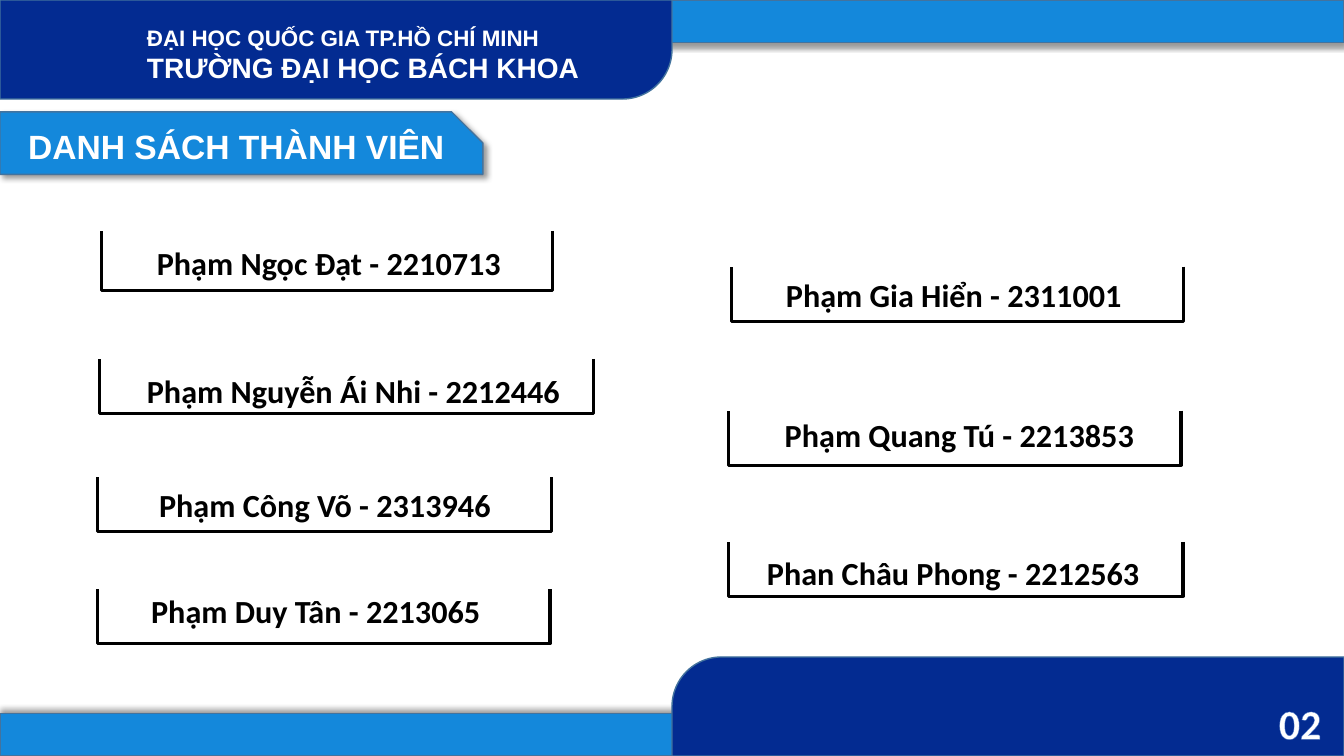
"""Build the member list slide on a grid of 100 columns by 100 rows."""
from lxml import etree
from pptx import Presentation
from pptx import util as u
from pptx.dml.color import RGBColor
from pptx.enum import shapes, text
from pptx.oxml import ns

THEME = {
    "navy": RGBColor.from_string("032B91"),
    "sky": RGBColor.from_string("1488DB"),
    "edge": RGBColor.from_string("43739E"),
    "white": RGBColor.from_string("FFFFFF"),
    "black": RGBColor.from_string("000000"),
    "number_edge": "4472C4",
    "heading": "Arial",
    "body": "Calibri",
    "university": 16,
    "school": 20,
    "title": 24,
    "member": 23,
    "number": 30,
}

deck = Presentation()
deck.slide_width = u.Inches(13.33)
deck.slide_height = u.Inches(7.5)
page = deck.slides.add_slide(deck.slide_layouts[6])
column = deck.slide_width / 100
row = deck.slide_height / 100


def add_panel(preset, frame, fill=None, turn=0, corner=None, shadow=None):
    """Draw a shape whose frame is the area it covers after turning."""
    left, top, width, height = (
        size * unit for size, unit in zip(frame, (column, row, column, row)))
    middle, centre = left + width / 2, top + height / 2
    if turn:
        width, height = height, width
    panel = page.shapes.add_shape(
        preset, int(middle - width / 2), int(centre - height / 2), int(width), int(height))
    panel.rotation = turn
    panel.shadow.inherit = False
    if corner is not None:
        panel.adjustments[0] = corner
    if fill:
        panel.fill.solid()
        panel.fill.fore_color.rgb = THEME[fill]
    else:
        panel.fill.background()
    panel.line.color.rgb = THEME["edge" if fill else "black"]
    panel.line.width = u.Pt(1 if fill else 2.25)
    if shadow is not None:
        effects = panel._element.spPr.find(ns.qn("a:effectLst"))
        outer = etree.SubElement(
            effects, ns.qn("a:outerShdw"), blurRad=str(u.Pt(4)), dist=str(u.Pt(3)),
            dir=str(shadow * 60000), algn="ctr", rotWithShape="0")
        tint = etree.SubElement(outer, ns.qn("a:srgbClr"), val="000000")
        etree.SubElement(tint, ns.qn("a:alpha"), val="40000")


def add_words(frame, lines, font, colour, centred=True):
    """Write one paragraph for each pair of wording and type size."""
    left, top, width, height = (
        int(size * unit) for size, unit in zip(frame, (column, row, column, row)))
    box = page.shapes.add_textbox(left, top, width, height)
    box.text_frame.word_wrap = centred
    box.text_frame.auto_size = text.MSO_AUTO_SIZE.SHAPE_TO_FIT_TEXT
    box.text_frame.text = "\n".join(wording for wording, size in lines)
    for para, (wording, size) in zip(box.text_frame.paragraphs, lines):
        para.alignment = text.PP_ALIGN.CENTER if centred else text.PP_ALIGN.LEFT
        para.font.name = THEME[font]
        para.font.size = u.Pt(THEME[size])
        para.font.bold = True
        para.font.color.rgb = THEME[colour]
    return box


preset = shapes.MSO_SHAPE
band, banner = 5.6, 13.1
for band_top, banner_left, banner_top, turn, shadow in (
    (0, 0, 0, 90, 90),
    (100 - band, 50, 100 - banner, 270, 270),
):
    add_panel(preset.RECTANGLE, (0, band_top, 100, band), "sky", shadow=shadow)
    add_panel(preset.ROUND_1_RECTANGLE, (banner_left, banner_top, 50, banner),
              "navy", turn=turn, corner=0.5)

add_words((10.2, 2.53, 34, 9.47),
          [("ĐẠI HỌC QUỐC GIA TP.HỒ CHÍ MINH", "university"),
           ("TRƯỜNG ĐẠI HỌC BÁCH KHOA", "school")],
          "heading", "white", centred=False)
add_panel(preset.SNIP_1_RECTANGLE, (0, 14.8, 35.93, 8.27), "sky", corner=0.5, shadow=45)
add_words((1.35, 16, 32.86, 6.67), [("DANH SÁCH THÀNH VIÊN", "title")],
          "heading", "white", centred=False)

members = [
    ("Phạm Ngọc Đạt - 2210713", (7.58, 30.53, 33.53, 7.87), (10.8, 31.47, 27.38)),
    ("Phạm Nguyễn Ái Nhi - 2212446", (7.42, 47.47, 36.75, 7.2), (9.6, 48.4, 33.45)),
    ("Phạm Công Võ - 2313946", (7.24, 63.13, 33.83, 7.2), (6.98, 63.6, 34.43)),
    ("Phạm Duy Tân - 2213065", (7.24, 77.93, 33.68, 7.2), (9.83, 77.6, 27.38)),
    ("Phạm Gia Hiển - 2311001", (54.41, 35.27, 33.68, 7.2), (57.3, 35.73, 27.38)),
    ("Phạm Quang Tú - 2213853", (54.19, 54.33, 33.68, 7.2), (57.08, 54.27, 28.65)),
    ("Phan Châu Phong - 2212563", (54.19, 71.67, 33.83, 7.2), (53.7, 72.53, 34.5)),
]
for member, bracket, place in members:
    add_panel(preset.LEFT_BRACKET, bracket, turn=270, corner=0)
    add_words((*place, 6.53), [(member, "member")], "body", "black")

number = add_words((93.47, 91.6, 6.53, 8.13), [("02", "number")], "body", "white")
span = number.text_frame.paragraphs[0].runs[0]
outline = etree.Element(ns.qn("a:ln"), w=str(u.Pt(0.8)))
ink = etree.SubElement(outline, ns.qn("a:solidFill"))
etree.SubElement(ink, ns.qn("a:srgbClr"), val=THEME["number_edge"])
span._r.get_or_add_rPr().insert(0, outline)

deck.save("out.pptx")
